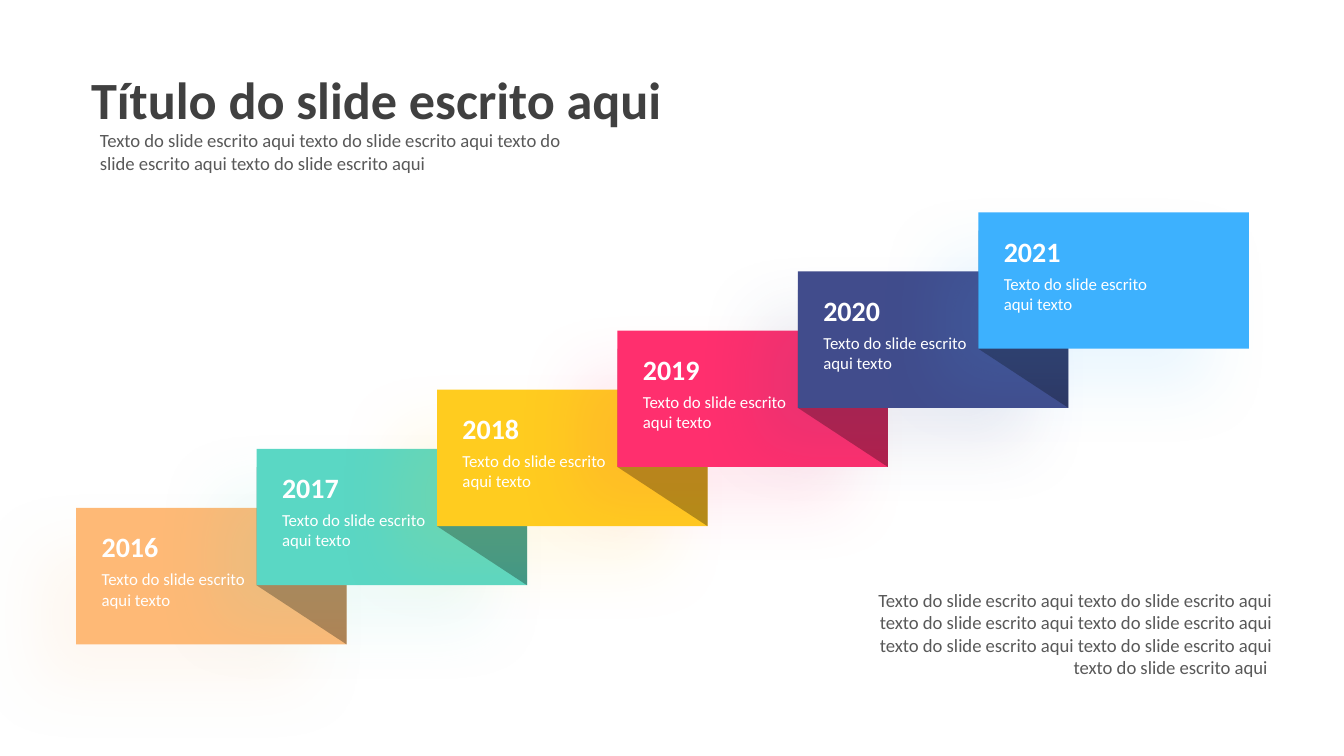
from lxml.etree import SubElement
from pptx import Presentation
from pptx.dml.color import RGBColor
from pptx.enum.shapes import MSO_SHAPE
from pptx.enum.text import MSO_ANCHOR, MSO_AUTO_SIZE, PP_ALIGN
from pptx.oxml.ns import qn
from pptx.util import Pt

EMU_PER_PX = 2286
FONT = "Calibri"
WHITE = RGBColor(0xFF, 0xFF, 0xFF)
BLACK = RGBColor(0x00, 0x00, 0x00)
TITLE_GREY = RGBColor(0x40, 0x40, 0x40)
BODY_GREY = RGBColor(0x59, 0x59, 0x59)

STEPS = [
    ("2016", RGBColor(0xFE, 0xB9, 0x76)),
    ("2017", RGBColor(0x5A, 0xD7, 0xC4)),
    ("2018", RGBColor(0xFF, 0xCC, 0x1F)),
    ("2019", RGBColor(0xFF, 0x2F, 0x6E)),
    ("2020", RGBColor(0x41, 0x4C, 0x8C)),
    ("2021", RGBColor(0x3D, 0xB1, 0xFE)),
]
FIRST_LEFT, FIRST_TOP = 227, 1512
CARD_WIDTH, CARD_HEIGHT = 805, 406
RUN, RISE = 537, 176
FOLD_INSET = 54
PHRASE = "Texto do slide escrito aqui"


def px(length):
    """Turn a length in px into EMU."""
    return length * EMU_PER_PX


def write(shape, box, text, size, color, bold=False, align=PP_ALIGN.LEFT):
    """Place a text-bearing shape and fill it with one formatted paragraph."""
    shape.left, shape.top, shape.width, shape.height = map(px, box)
    frame = shape.text_frame
    frame.text = text
    frame.word_wrap = True
    frame.auto_size = MSO_AUTO_SIZE.SHAPE_TO_FIT_TEXT
    frame.vertical_anchor = MSO_ANCHOR.TOP
    paragraph = frame.paragraphs[0]
    paragraph.alignment = align
    font = paragraph.runs[0].font
    font.name, font.size, font.bold = FONT, Pt(size), bold
    font.color.rgb = color


def add_text(slide, box, *style, **options):
    """Add a text box with one formatted paragraph."""
    write(slide.shapes.add_textbox(0, 0, 0, 0), box, *style, **options)


def paint(shape, color):
    """Give a shape a plain fill without line or inherited shadow."""
    shape.shadow.inherit = False
    shape.fill.solid()
    shape.fill.fore_color.rgb = color
    shape.line.fill.background()


def set_alpha(color_element, percent):
    """Set the opacity of a colour element."""
    SubElement(color_element, qn("a:alpha"), val=str(percent * 1000))


def add_card(slide, left, top, color):
    """Add a step card with a soft shadow in its own colour."""
    card = slide.shapes.add_shape(
        MSO_SHAPE.RECTANGLE, px(left), px(top), px(CARD_WIDTH), px(CARD_HEIGHT)
    )
    paint(card, color)
    effects = card.element.spPr.find(qn("a:effectLst"))
    shadow = SubElement(
        effects, qn("a:outerShdw"), blurRad=str(Pt(35)), dist=str(Pt(30)),
        dir=str(135 * 60000), algn="tr", rotWithShape="0",
    )
    set_alpha(SubElement(shadow, qn("a:srgbClr"), val=str(color)), 10)


def add_fold(slide, left, top):
    """Add the dark fold that leads from a card to the next one."""
    right, next_left, next_top = left + CARD_WIDTH, left + RUN, top - RISE
    builder = slide.shapes.build_freeform(right, top + FOLD_INSET, scale=EMU_PER_PX)
    builder.add_line_segments([
        (next_left, next_top + FOLD_INSET),
        (next_left, next_top + CARD_HEIGHT),
        (right, top + CARD_HEIGHT),
    ])
    fold = builder.convert_to_shape()
    paint(fold, BLACK)
    set_alpha(fold.element.spPr.find(qn("a:solidFill")).find(qn("a:srgbClr")), 30)


def add_staircase(slide):
    """Add the rising cards, their folds and their labels."""
    corners = [(FIRST_LEFT + RUN * i, FIRST_TOP - RISE * i) for i in range(len(STEPS))]
    for (left, top), (year, color) in zip(corners, STEPS):
        add_card(slide, left, top, color)
        if (left, top) != corners[-1]:
            add_fold(slide, left, top)
    for (left, top), (year, color) in zip(corners, STEPS):
        add_text(slide, (left + 36, top + 45, 516, 140), year, 15, WHITE, bold=True)
        add_text(slide, (left + 36, top + 162, 516, 160), f"{PHRASE} texto", 9, WHITE)


def main():
    """Build the timeline slide."""
    presentation = Presentation()
    presentation.slide_width, presentation.slide_height = px(4000), px(2250)
    slide = presentation.slides.add_slide(presentation.slide_layouts[5])
    add_staircase(slide)
    write(slide.shapes.title, (231, 180, 2436, 228), "Título do slide escrito aqui",
          28, TITLE_GREY, bold=True)
    repeat = " " + PHRASE.lower()
    add_text(slide, (258, 365, 1524, 176), PHRASE + repeat * 3, 10, BODY_GREY)
    add_text(slide, (2500, 1732, 1324, 308), PHRASE + repeat * 6 + " ", 10, BODY_GREY,
             align=PP_ALIGN.RIGHT)
    presentation.save("out.pptx")


if __name__ == "__main__":
    main()
